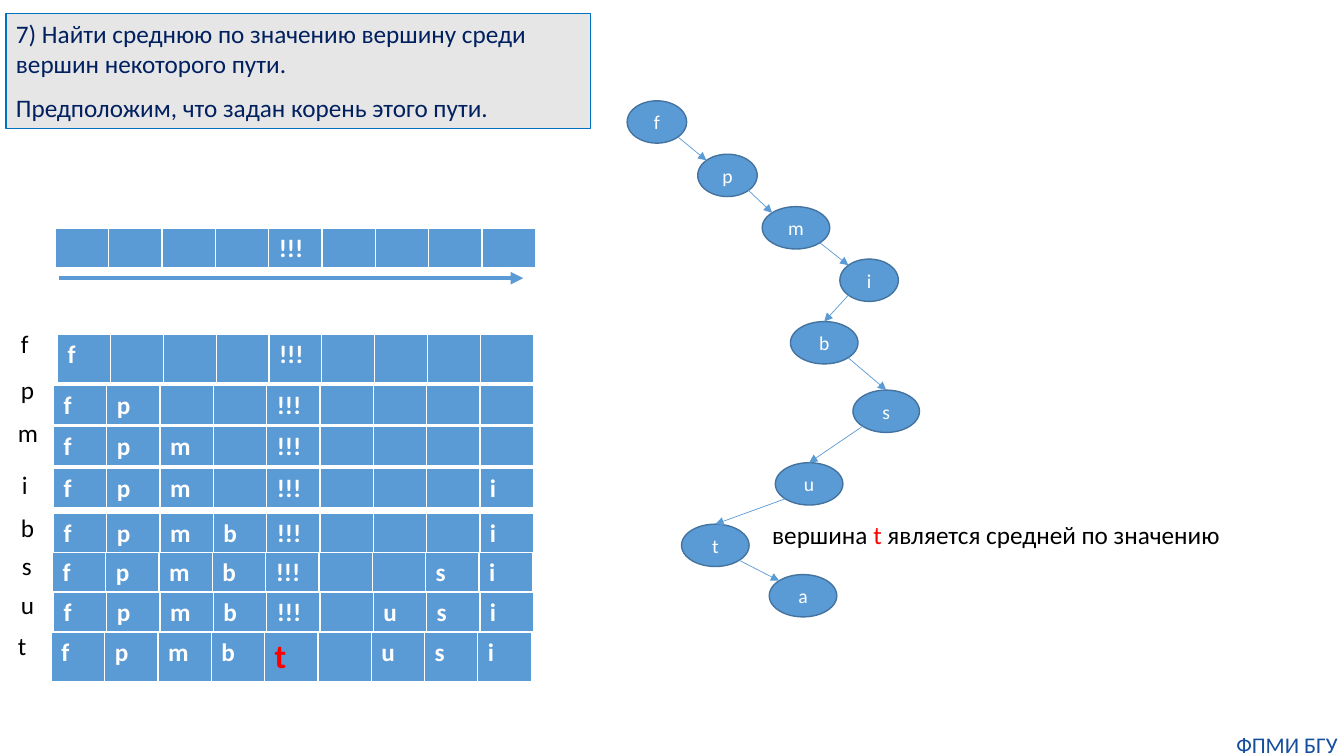
from math import sqrt

from lxml import etree
from pptx import Presentation
from pptx import util as u
from pptx.dml.color import RGBColor
from pptx.enum import shapes, text
from pptx.oxml.ns import qn

COLORS = {"blue": "5B9BD5", "edge": "43739E", "white": "FFFFFF",
          "black": "000000", "red": "FF0000", "gray": "E7E6E6",
          "frame": "0070C0", "navy": "002060", "mark": "144E9D"}
FONT = "Calibri"
COLS = 9
MID = 4

# Tree path from the root: name, left, top, width, arrow enters at top centre
NODES = [
    ("f", 6.22, 1.0, 0.59, False),
    ("p", 6.92, 1.53, 0.59, False),
    ("m", 7.56, 2.05, 0.67, False),
    ("i", 8.33, 2.57, 0.58, False),
    ("b", 7.84, 3.19, 0.67, True),
    ("s", 8.46, 3.87, 0.66, True),
    ("u", 7.69, 4.59, 0.67, True),
    ("t", 6.76, 5.2, 0.67, True),
    ("a", 7.63, 5.7, 0.67, False),
]
NODE_H = 0.42

# Steps: name, slot, label (left, top, width), table (left, top, width, height)
STEPS = [
    ("f", 0, (0.11, 3.21, 0.28), (0.57, 3.32, 4.72, 0.49)),
    ("p", 1, (0.11, 3.66, 0.34), (0.53, 3.82, 4.76, 0.4)),
    ("m", 2, (0.08, 4.09, 0.4), (0.53, 4.23, 4.76, 0.4)),
    ("i", 8, (0.12, 4.61, 0.26), (0.53, 4.65, 4.76, 0.4)),
    ("b", 3, (0.11, 5.03, 0.34), (0.53, 5.09, 4.76, 0.4)),
    ("s", 7, (0.12, 5.41, 0.3), (0.52, 5.48, 4.76, 0.4)),
    ("u", 6, (0.11, 5.8, 0.34), (0.53, 5.88, 4.76, 0.4)),
    ("t", 4, (0.08, 6.2, 0.29), (0.51, 6.27, 4.76, 0.5)),
]


def rgb(name):
    return RGBColor.from_string(COLORS[name])


def add_run(para, words, size, color, bold=False):
    run = para.add_run()
    run.text = words
    run.font.name = FONT
    run.font.size = u.Pt(size)
    run.font.bold = bold
    run.font.color.rgb = rgb(color)


def add_text(slide, box, parts, size=18, wrap=False):
    """Add one paragraph made of (words, color) parts."""
    shape = slide.shapes.add_textbox(*map(u.Inches, box))
    frame = shape.text_frame
    frame.word_wrap = wrap
    for words, color in parts:
        add_run(frame.paragraphs[0], words, size, color)
    return frame


def add_form(slide, kind, box, fill, line, width):
    shape = slide.shapes.add_shape(kind, *map(u.Inches, box))
    shape.shadow.inherit = False
    shape.fill.solid()
    shape.fill.fore_color.rgb = rgb(fill)
    shape.line.color.rgb = rgb(line)
    shape.line.width = u.Pt(width)
    shape.text_frame.word_wrap = True
    return shape.text_frame


def add_node(slide, name, left, top, width):
    frame = add_form(slide, shapes.MSO_SHAPE.OVAL, (left, top, width, NODE_H),
                     "blue", "edge", 1)
    frame.vertical_anchor = text.MSO_ANCHOR.MIDDLE
    para = frame.paragraphs[0]
    para.alignment = text.PP_ALIGN.CENTER
    add_run(para, name, 14, "white")


def add_arrow(slide, start, end, width):
    line = slide.shapes.add_connector(
        shapes.MSO_CONNECTOR.STRAIGHT, *map(u.Inches, (*start, *end)))
    line.line.color.rgb = rgb("blue")
    line.line.width = u.Pt(width)
    etree.SubElement(line.line._get_or_add_ln(), qn("a:tailEnd"), type="triangle")
    etree.SubElement(line._element.spPr, qn("a:effectLst"))


def link_nodes(slide, one, two):
    """Join the lower side of one oval to the upper side of the next."""
    _, left, top, width, _ = one
    _, left2, top2, width2, at_top = two
    mid, mid2 = left + width / 2, left2 + width2 / 2
    side = 1 if mid2 > mid else -1
    diag = 1 / sqrt(2)
    start = (mid + side * width / 2 * diag, top + NODE_H / 2 * (1 + diag))
    end = (mid2, top2)
    if not at_top:
        end = (mid2 - side * width2 / 2 * diag, top2 + NODE_H / 2 * (1 - diag))
    add_arrow(slide, start, end, 0.5)


def add_edges(cell):
    props = cell._tc.get_or_add_tcPr()
    for side, width in (("L", 1), ("R", 1), ("T", 1), ("B", 3)):
        line = etree.SubElement(props, qn("a:ln" + side), w=str(u.Pt(width)))
        fill = etree.SubElement(line, qn("a:solidFill"))
        etree.SubElement(fill, qn("a:srgbClr"), val=COLORS["white"])


def add_array(slide, box, words):
    """Add a one-row table; words maps a slot to its text."""
    table = slide.shapes.add_table(1, COLS, *map(u.Inches, box)).table
    for slot, cell in enumerate(table.rows[0].cells):
        add_edges(cell)
        cell.fill.solid()
        cell.fill.fore_color.rgb = rgb("blue")
        para = cell.text_frame.paragraphs[0]
        word = words.get(slot)
        if word == "t":
            add_run(para, word, 24, "red", True)
        elif word:
            add_run(para, word, 18, "white", True)


def add_title(slide):
    frame = add_form(slide, shapes.MSO_SHAPE.RECTANGLE, (0.06, 0.13, 5.8, 1.15),
                     "gray", "frame", 0.75)
    frame.vertical_anchor = text.MSO_ANCHOR.TOP
    lines = ["7) Найти среднюю по значению вершину среди вершин некоторого пути.",
             "Предположим, что задан корень этого пути."]
    for num, words in enumerate(lines):
        para = frame.add_paragraph() if num else frame.paragraphs[0]
        para.alignment = text.PP_ALIGN.LEFT
        para.space_after = u.Pt(10)
        add_run(para, words, 18, "navy")


def add_foot(slide):
    frame = add_text(slide, (12.2, 7.25, 1.13, 0.27), [("ФПМИ БГУ", "mark")], 16, True)
    frame.margin_left = frame.margin_right = 0
    frame.margin_top = frame.margin_bottom = 0
    frame.paragraphs[0].alignment = text.PP_ALIGN.CENTER


def main():
    deck = Presentation()
    deck.slide_width, deck.slide_height = u.Inches(13.33), u.Inches(7.5)
    slide = deck.slides.add_slide(deck.slide_layouts[6])

    # Tree path
    for name, left, top, width, _ in NODES:
        add_node(slide, name, left, top, width)
    for one, two in zip(NODES, NODES[1:]):
        link_nodes(slide, one, two)
    add_text(slide, (7.56, 5.1, 4.69, 0.4),
             [("вершина ", "black"), ("t", "red"),
              (" является средней по значению", "black")])

    # Empty array with its direction
    words = {MID: "!!!"}
    add_array(slide, (0.55, 2.27, 4.76, 0.4), words)
    add_arrow(slide, (0.59, 2.76), (5.19, 2.76), 3)

    # Array filled step by step
    for name, slot, label, box in STEPS:
        words[slot] = name
        add_text(slide, (*label, 0.4), [(name, "black")])
        add_array(slide, box, words)

    # Task and footer
    add_foot(slide)
    add_title(slide)
    deck.save("out.pptx")


if __name__ == "__main__":
    main()
